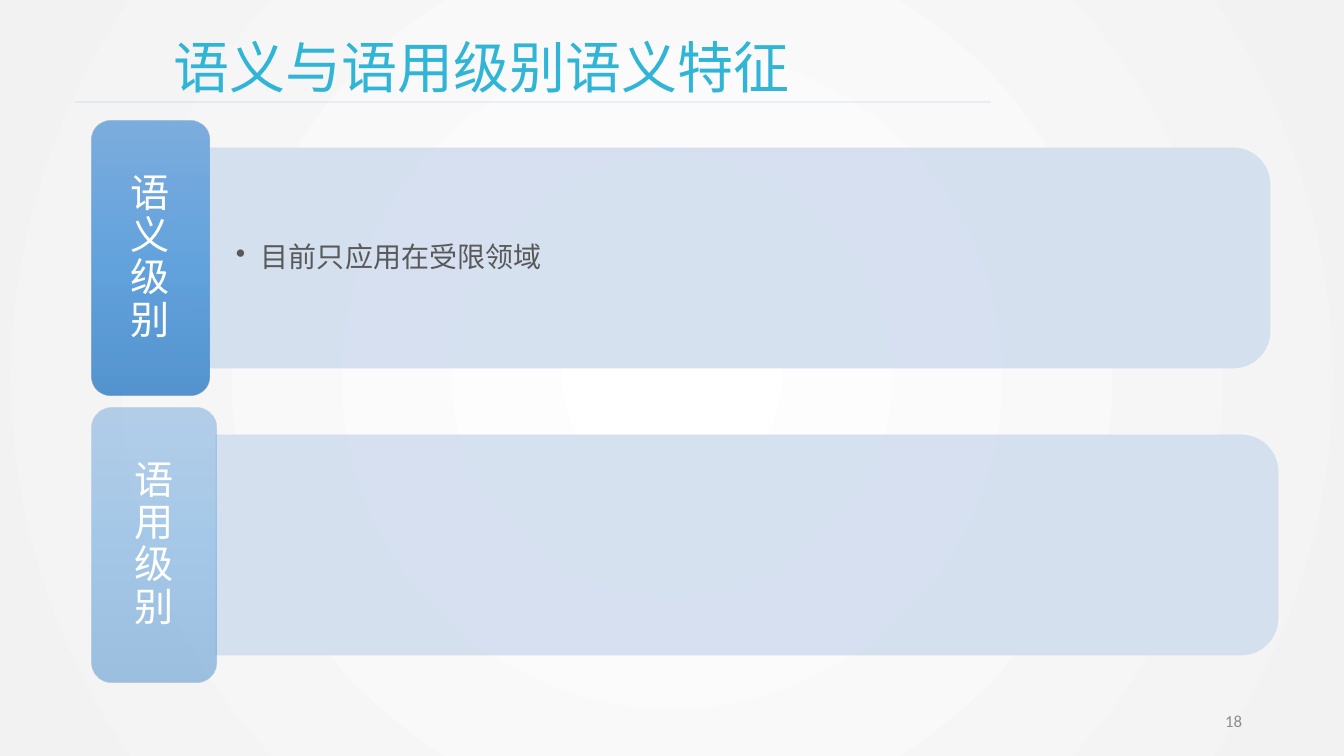
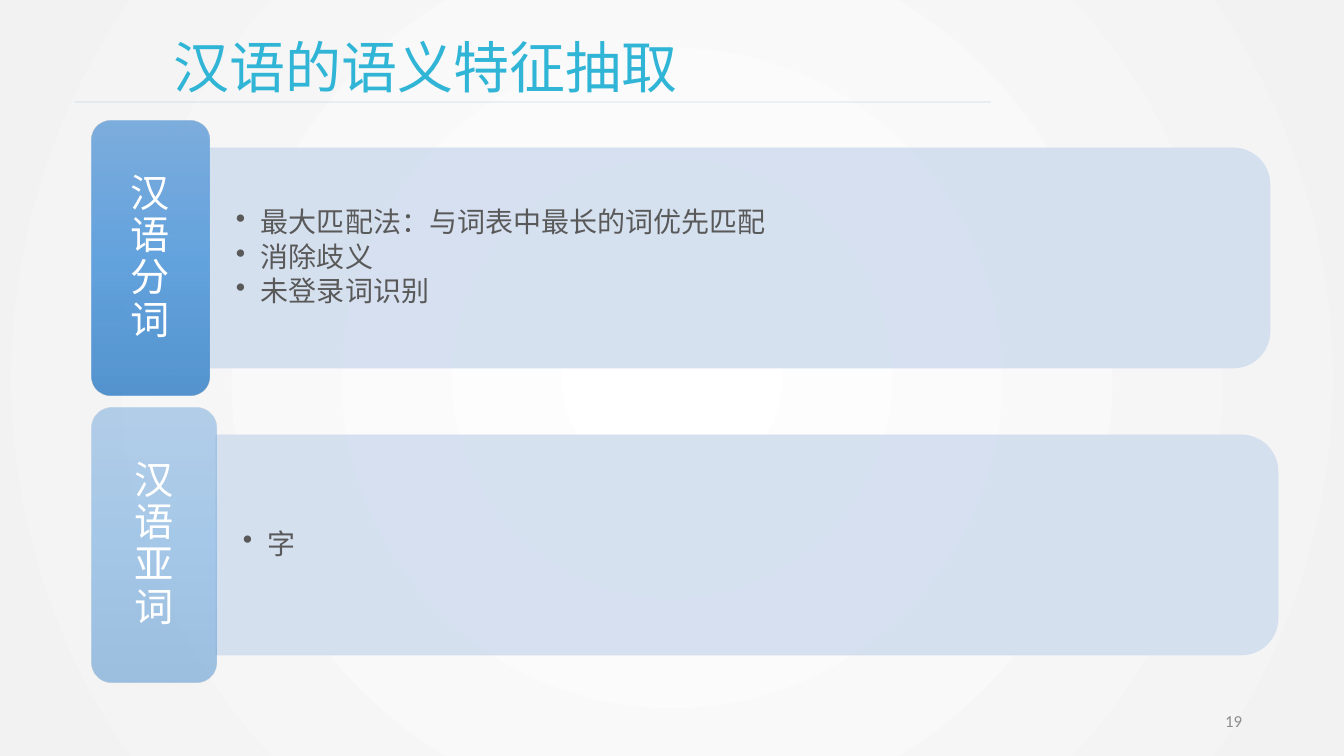
from lxml import etree
from pptx import Presentation
from pptx.dml.color import RGBColor
from pptx.enum.shapes import MSO_CONNECTOR, MSO_SHAPE
from pptx.enum.text import MSO_ANCHOR, PP_ALIGN
from pptx.oxml.ns import qn
from pptx.util import Emu, Pt

PX = 914400 / 100.8
WHITE = RGBColor(0xFF, 0xFF, 0xFF)
PALE_GREY = RGBColor(0xF2, 0xF2, 0xF2)
TITLE_CYAN = RGBColor(0x31, 0xB5, 0xD6)
RULE_BLUE = RGBColor(0x4A, 0x7E, 0xBB)
BAND_BLUE = RGBColor(0xD2, 0xDE, 0xEF)
BODY_GREY = RGBColor(0x59, 0x59, 0x59)
NUMBER_GREY = RGBColor(0x8C, 0x8C, 0x8C)
TAB_BLUES = (RGBColor(0x71, 0xA6, 0xDB), RGBColor(0x55, 0x9B, 0xDB), RGBColor(0x44, 0x8A, 0xCA))

CJK = "Noto Sans CJK SC"
LATIN = "Calibri"

TAB_LEFT, TAB_TOP, TAB_HEIGHT = 92, 121, 274
ROW_PITCH = 287
BAND_INSET = 27
# tab width, band width and tab opacity of each row
ROWS = ((117, 1061, 90), (124, 1062, 50))


def px(n):
    return Emu(round(n * PX))


def add_alpha(color, percent):
    etree.SubElement(color, qn("a:alpha"), val=str(percent * 1000))


def set_gradient(fill, owner, colors, percent=100):
    """Give fill evenly spaced stops and return its XML element."""
    fill.gradient()
    grad = owner.find(".//" + qn("a:gradFill"))
    stops = grad.find(qn("a:gsLst"))
    for stop in list(stops):
        stops.remove(stop)
    for i, rgb in enumerate(colors):
        stop = etree.SubElement(stops, qn("a:gs"), pos=str(100000 * i // (len(colors) - 1)))
        color = etree.SubElement(stop, qn("a:srgbClr"), val=str(rgb))
        if percent < 100:
            add_alpha(color, percent)
    return grad


class Deck:
    def __init__(self):
        self.prs = Presentation()
        self.prs.slide_width, self.prs.slide_height = px(1344), px(756)
        self.s = None
        master = self.prs.slide_master
        grad = set_gradient(master.background.fill, master.element, (WHITE, PALE_GREY))
        grad.remove(grad.find(qn("a:lin")))
        circle = etree.SubElement(grad, qn("a:path"), {"path": "circle"})
        etree.SubElement(circle, qn("a:fillToRect"), l="50000", t="50000", r="50000", b="50000")

    def new_slide(self, title, number):
        self.s = self.prs.slides.add_slide(self.prs.slide_layouts[6])
        self.rule(75, 102, 991)
        tf = self.text_box(164, 28, 857, 78, MSO_ANCHOR.TOP)
        self.add_text(tf.paragraphs[0], title, 40, TITLE_CYAN)
        tf = self.text_box(950, 701, 302, 40)
        p = tf.paragraphs[0]
        p.alignment = PP_ALIGN.RIGHT
        self.add_text(p, str(number), 12, NUMBER_GREY, LATIN)

    def add_text(self, p, text, size, color, font=CJK):
        r = p.add_run()
        r.text = text
        r.font.size = Pt(size)
        r.font.name = font
        r.font.color.rgb = color
        latin = r.font._element.find(qn("a:latin"))
        ea = latin.makeelement(qn("a:ea"), {"typeface": font})
        latin.addnext(ea)

    def text_box(self, x, y, w, h, anchor=MSO_ANCHOR.MIDDLE):
        tf = self.s.shapes.add_textbox(px(x), px(y), px(w), px(h)).text_frame
        tf.word_wrap = True
        tf.vertical_anchor = anchor
        return tf

    def rule(self, x1, y, x2):
        line = self.s.shapes.add_connector(MSO_CONNECTOR.STRAIGHT, px(x1), px(y), px(x2), px(y))
        self.outline(line, RULE_BLUE, 25)
        etree.SubElement(line._element.spPr, qn("a:effectLst"))

    def outline(self, shape, color, percent):
        shape.line.color.rgb = color
        shape.line.width = Pt(0.5)
        ln = shape._element.spPr.find(qn("a:ln"))
        add_alpha(ln.find(".//" + qn("a:srgbClr")), percent)

    def band(self, x, y, w, h):
        """Draw a bar rounded at its right end: a top-rounded shape turned by 90 degrees."""
        sp = self.s.shapes.add_shape(
            MSO_SHAPE.ROUND_2_SAME_RECTANGLE,
            px(x + (w - h) / 2), px(y + (h - w) / 2), px(h), px(w))
        sp.rotation = 90
        sp.shadow.inherit = False
        sp.fill.solid()
        sp.fill.fore_color.rgb = BAND_BLUE
        add_alpha(sp._element.spPr.find(qn("a:solidFill")).find(qn("a:srgbClr")), 90)
        self.outline(sp, BAND_BLUE, 90)

    def tab(self, x, y, w, h, label, percent):
        sp = self.s.shapes.add_shape(MSO_SHAPE.ROUNDED_RECTANGLE, px(x), px(y), px(w), px(h))
        sp.shadow.inherit = False
        set_gradient(sp.fill, sp._element.spPr, TAB_BLUES, percent)
        sp.fill.gradient_angle = 270
        sp.line.fill.background()
        tf = sp.text_frame
        tf.word_wrap = True
        tf.vertical_anchor = MSO_ANCHOR.MIDDLE
        tf.margin_left = tf.margin_right = px(17)
        p = tf.paragraphs[0]
        p.alignment = PP_ALIGN.CENTER
        p.line_spacing = 0.9
        self.add_text(p, label, 28, WHITE)

    def bullets(self, x, y, w, h, items):
        tf = self.text_box(x, y, w, h)
        tf.margin_left = tf.margin_right = px(27)
        tf.margin_top = tf.margin_bottom = px(14)
        for i, item in enumerate(items):
            p = tf.add_paragraph() if i else tf.paragraphs[0]
            pPr = p._p.get_or_add_pPr()
            pPr.set("marL", str(px(25)))
            pPr.set("indent", str(px(-25)))
            etree.SubElement(pPr, qn("a:buChar"), char="•")
            p.line_spacing = 0.9
            p.space_after = Pt(3)
            self.add_text(p, item, 20, BODY_GREY)

    def row(self, index, label, items):
        tab_width, band_width, percent = ROWS[index]
        top = TAB_TOP + index * ROW_PITCH
        x, y = TAB_LEFT + tab_width, top + BAND_INSET
        band_height = TAB_HEIGHT - 2 * BAND_INSET
        self.band(x, y, band_width, band_height)
        if items:
            self.bullets(x, y + 11, band_width - 11, band_height - 22, items)
        self.tab(TAB_LEFT, top, tab_width, TAB_HEIGHT, label, percent)


SLIDES = (
    ("语义与语用级别语义特征", (
        ("语义级别", ("目前只应用在受限领域",)),
        ("语用级别", ()),
    )),
    ("汉语的语义特征抽取", (
        ("汉语分词", ("最大匹配法：与词表中最长的词优先匹配", "消除歧义", "未登录词识别")),
        ("汉语亚词", ("字",)),
    )),
)


def main():
    deck = Deck()
    for number, (title, rows) in enumerate(SLIDES, 18):
        deck.new_slide(title, number)
        for index, (label, items) in enumerate(rows):
            deck.row(index, label, items)
    deck.prs.save("out.pptx")


if __name__ == "__main__":
    main()
